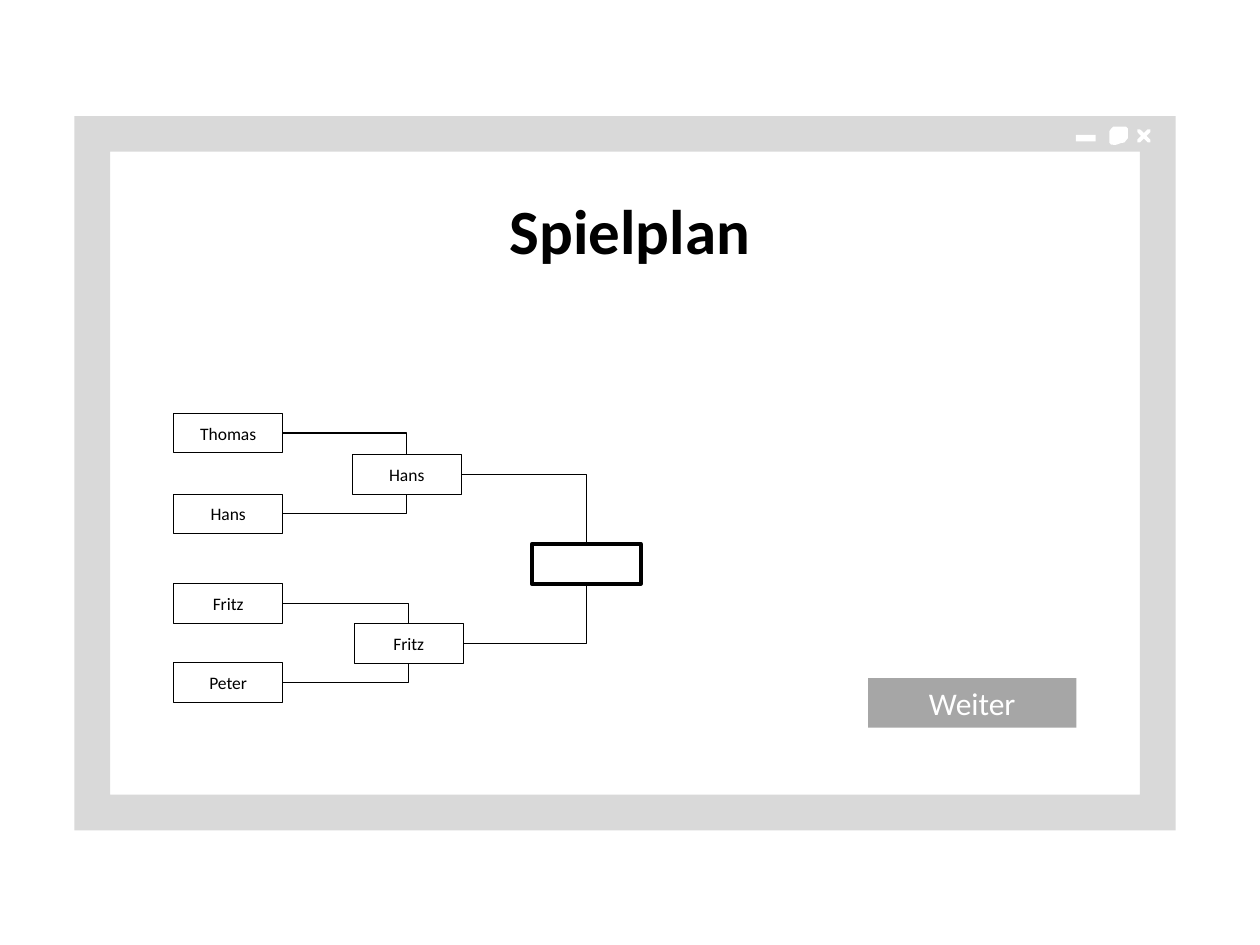
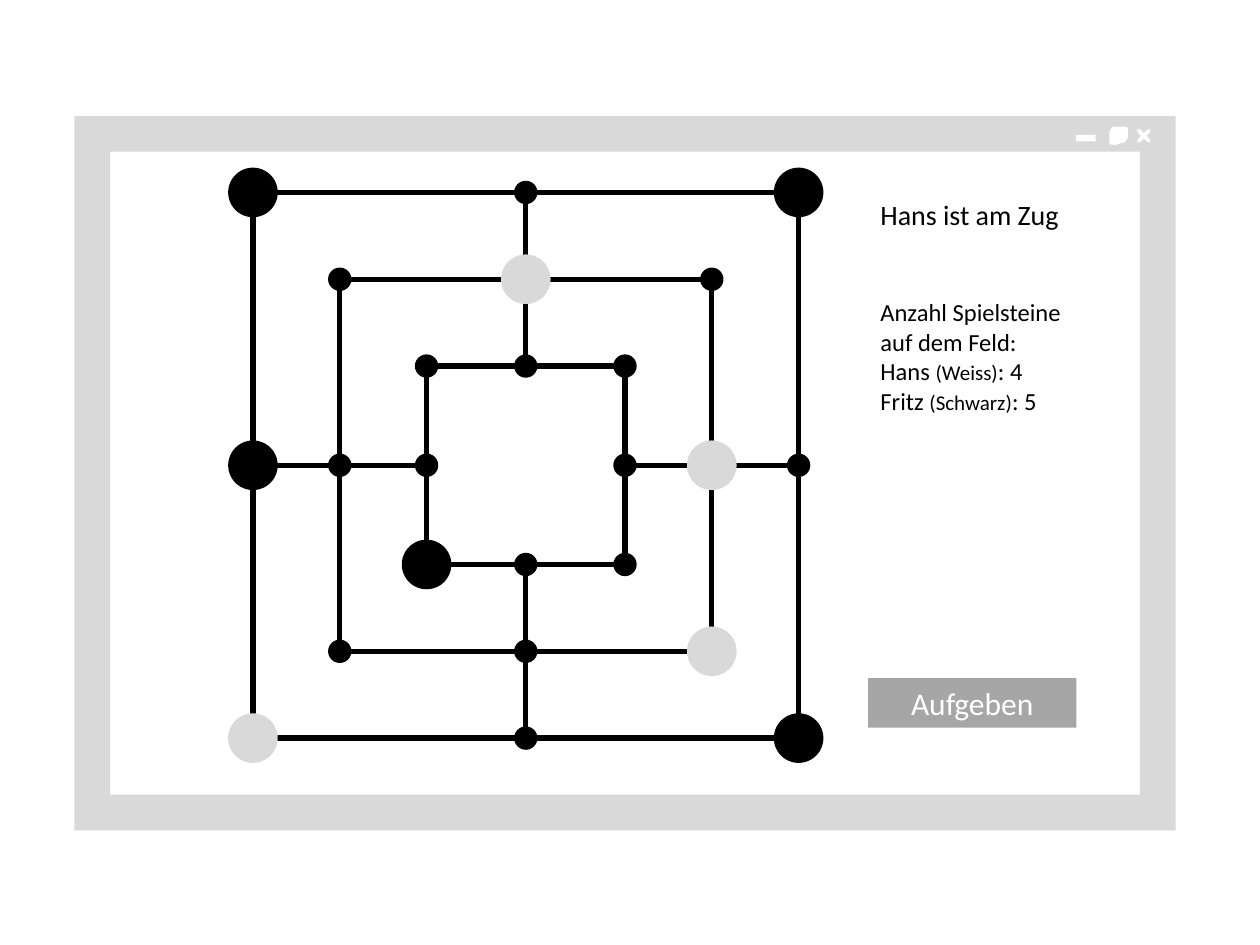
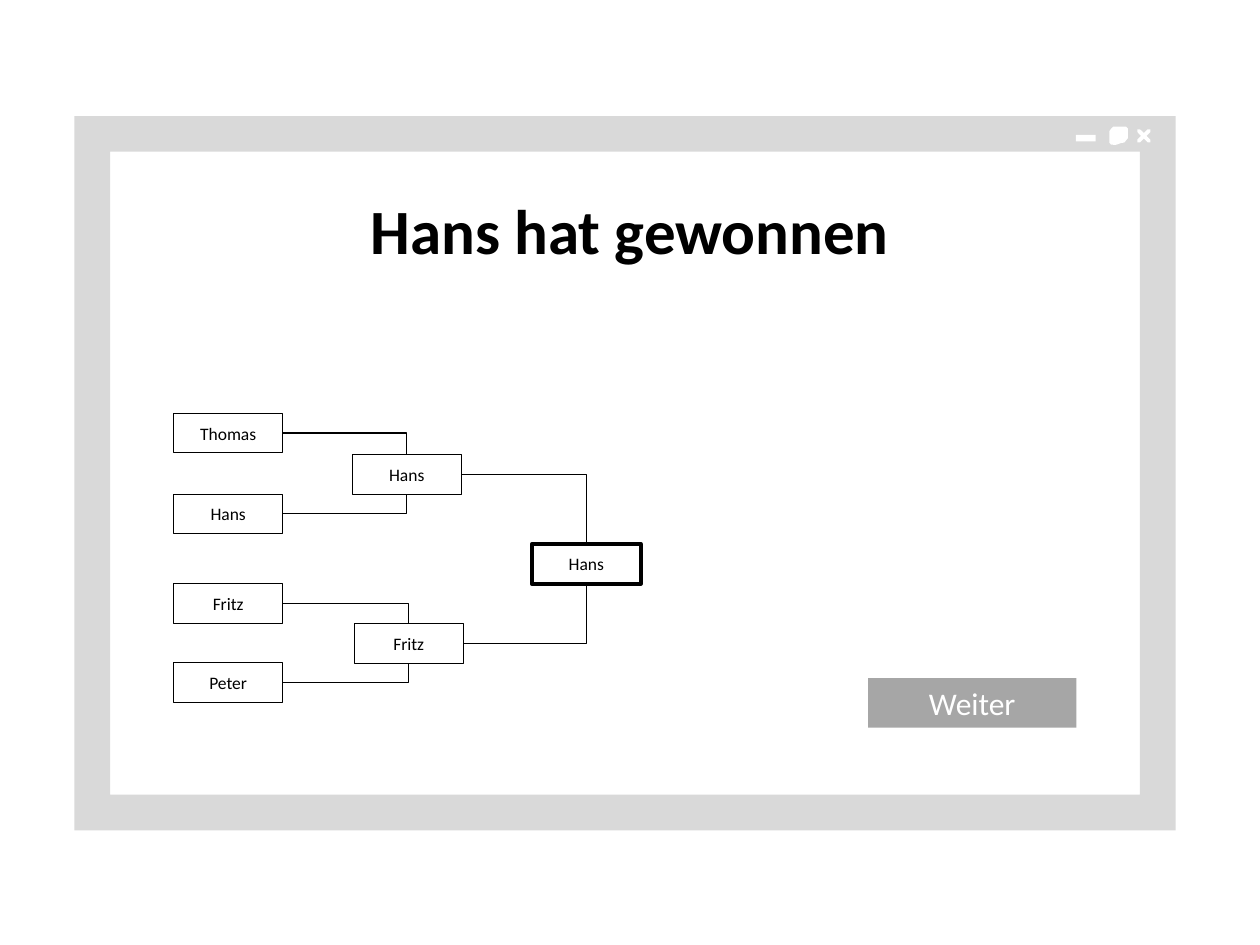
from itertools import product

from pptx import Presentation
from pptx import util as u
from pptx.dml.color import RGBColor
from pptx.enum import shapes, text
from pptx.oxml.ns import qn
from lxml import etree

# Shared colours, font and shapes
BLACK = RGBColor(0x00, 0x00, 0x00)
WHITE = RGBColor(0xFF, 0xFF, 0xFF)
RED = RGBColor(0xFF, 0x00, 0x00)
LIGHT = RGBColor(0xD9, 0xD9, 0xD9)
GREY = RGBColor(0xA6, 0xA6, 0xA6)
FONT = "Calibri"
SHAPE = shapes.MSO_SHAPE
ALIGN = text.PP_ALIGN
TOP, BOTTOM, RIGHT = 0, 2, 3  # connection sites of a rectangle


def write(tf, paragraphs, size=10, color=BLACK, bold=False, align=ALIGN.LEFT):
    """Fill tf; a paragraph is a string or a list of (text, size) runs."""
    tf.word_wrap = True
    for i, runs in enumerate(paragraphs):
        p = tf.paragraphs[0] if i == 0 else tf.add_paragraph()
        p.alignment = align
        for words, points in [(runs, size)] if isinstance(runs, str) else runs:
            r = p.add_run()
            r.text = words
            r.font.name, r.font.size, r.font.bold = FONT, u.Pt(points), bold
            r.font.color.rgb = color


class Deck:
    """Holds the presentation, its style and the current slide."""

    def __init__(self):
        self.prs = Presentation()
        self.prs.slide_width, self.prs.slide_height = u.Cm(25.4), u.Cm(19.05)

    def new_slide(self, button):
        self.s = self.prs.slides.add_slide(self.prs.slide_layouts[6])
        self.window()
        sp = self.shape(SHAPE.RECTANGLE, 17.5, 13.67, 4.2, 1, fill=GREY)
        self.label(sp, button, size=18, color=WHITE)

    def shape(self, kind, x, y, w, h, fill=None, line=None, width=1,
              adj=None, parent=None):
        sp = (parent or self.s).shapes.add_shape(
            kind, u.Cm(x), u.Cm(y), u.Cm(w), u.Cm(h))
        sp.shadow.inherit = False
        if adj is not None:
            sp.adjustments[0] = adj
        if fill is None:
            sp.fill.background()
        else:
            sp.fill.solid()
            sp.fill.fore_color.rgb = fill
        if line is None:
            sp.line.fill.background()
        else:
            sp.line.color.rgb = line
            sp.line.width = u.Pt(width)
        return sp

    def label(self, sp, words, **style):
        sp.text_frame.vertical_anchor = text.MSO_ANCHOR.MIDDLE
        write(sp.text_frame, [words], align=ALIGN.CENTER, **style)

    def window(self):
        g = self.s.shapes.add_group_shape()
        self.shape(SHAPE.FRAME, 1.5, 2.34, 22.2, 14.4, LIGHT, adj=0.05, parent=g)
        self.shape(SHAPE.MATH_MULTIPLY, 22.86, 2.54, 0.4, 0.4, RED, WHITE, 2,
                   adj=0.02, parent=g)
        self.shape(SHAPE.FLOWCHART_MULTIDOCUMENT, 22.4, 2.59, 0.3, 0.3,
                   WHITE, WHITE, 2, parent=g)
        self.shape(SHAPE.RECTANGLE, 21.69, 2.72, 0.4, 0.13, WHITE, parent=g)

    def textbox(self, x, y, w, h, paragraphs, **style):
        tf = self.s.shapes.add_textbox(
            u.Cm(x), u.Cm(y), u.Cm(w), u.Cm(h)).text_frame
        tf.auto_size = text.MSO_AUTO_SIZE.SHAPE_TO_FIT_TEXT
        write(tf, paragraphs, **style)

    def title(self, words):
        self.textbox(3.3, 3.73, 18.8, 1.8, [words], size=36, bold=True,
                     align=ALIGN.CENTER)

    def connector(self, kind, width, x1=0, y1=0, x2=0, y2=0):
        c = self.s.shapes.add_connector(
            kind, u.Cm(x1), u.Cm(y1), u.Cm(x2), u.Cm(y2))
        c.line.color.rgb = BLACK
        c.line.width = u.Pt(width)
        etree.SubElement(c.element.spPr, qn("a:effectLst"))
        return c

    def elbow(self, start, end, site):
        c = self.connector(shapes.MSO_CONNECTOR.ELBOW, 0.75)
        c.element.spPr.find(qn("a:prstGeom")).set("prst", "bentConnector2")
        c.begin_connect(start, RIGHT)
        c.end_connect(end, site)

    def player(self, x, y, name, width=0.5):
        sp = self.shape(SHAPE.RECTANGLE, x, y, 2.2, 0.8, line=BLACK, width=width)
        if name:
            self.label(sp, name)
        return sp

    def bracket(self, winner):
        first = [self.player(3.5, y, name) for y, name in (
            (8.33, "Thomas"), (9.96, "Hans"), (11.76, "Fritz"), (13.36, "Peter"))]
        semi = [self.player(7.1, 9.17, "Hans"), self.player(7.14, 12.57, "Fritz")]
        final = self.player(10.72, 10.97, winner, width=2.25)
        for i, sp in enumerate(first):
            self.elbow(sp, semi[i // 2], (TOP, BOTTOM)[i % 2])
        for sp, site in zip(semi, (TOP, BOTTOM)):
            self.elbow(sp, final, site)

    def disc(self, x, y, size, color, **outline):
        self.shape(SHAPE.OVAL, x - size / 2, y - size / 2, size, size,
                   color, **outline)

    def board(self, cx, cy, rings, stones):
        """Draw a mill board; a stone is (ring, column, row, colour)."""
        outer, inner = rings[0], rings[-1]
        for half in rings:
            self.shape(SHAPE.RECTANGLE, cx - half, cy - half, 2 * half, 2 * half,
                       WHITE, BLACK, 3)
        for dx, dy in ((0, -1), (1, 0), (-1, 0), (0, 1)):
            self.connector(shapes.MSO_CONNECTOR.STRAIGHT, 3,
                           cx + dx * outer, cy + dy * outer,
                           cx + dx * inner, cy + dy * inner)
        for half, dx, dy in product(rings, (-1, 0, 1), (-1, 0, 1)):
            if dx or dy:
                self.disc(cx + dx * half, cy + dy * half, 0.4, BLACK,
                          line=BLACK, width=2)
        for ring, dx, dy, color in stones:
            self.disc(cx + dx * rings[ring], cy + dy * rings[ring], 1, color)


deck = Deck()

# Slide 1: schedule
deck.new_slide("Weiter")
deck.title("Spielplan")
deck.bracket("")

# Slide 2: game in progress
deck.new_slide("Aufgeben")
deck.board(10.6, 9.38, (5.5, 3.75, 2), [
    (2, -1, 1, BLACK), (0, 1, -1, BLACK), (0, 1, 1, BLACK),
    (0, -1, 0, BLACK), (0, -1, -1, BLACK),
    (1, 0, -1, LIGHT), (1, 1, 1, LIGHT), (1, 1, 0, LIGHT), (0, -1, 1, LIGHT)])
deck.textbox(17.5, 3.86, 4.2, 0.94, ["Hans ist am Zug"], size=16)
deck.textbox(17.5, 5.87, 4.2, 2.64, [
    "Anzahl Spielsteine auf dem Feld:",
    [("Hans ", 14), ("(Weiss)", 12), (": 4", 14)],
    [("Fritz ", 14), ("(Schwarz)", 12), (": 5", 14)]], size=14)

# Slide 3: result
deck.new_slide("Weiter")
deck.title("Hans hat gewonnen")
deck.bracket("Hans")

deck.prs.save("out.pptx")
